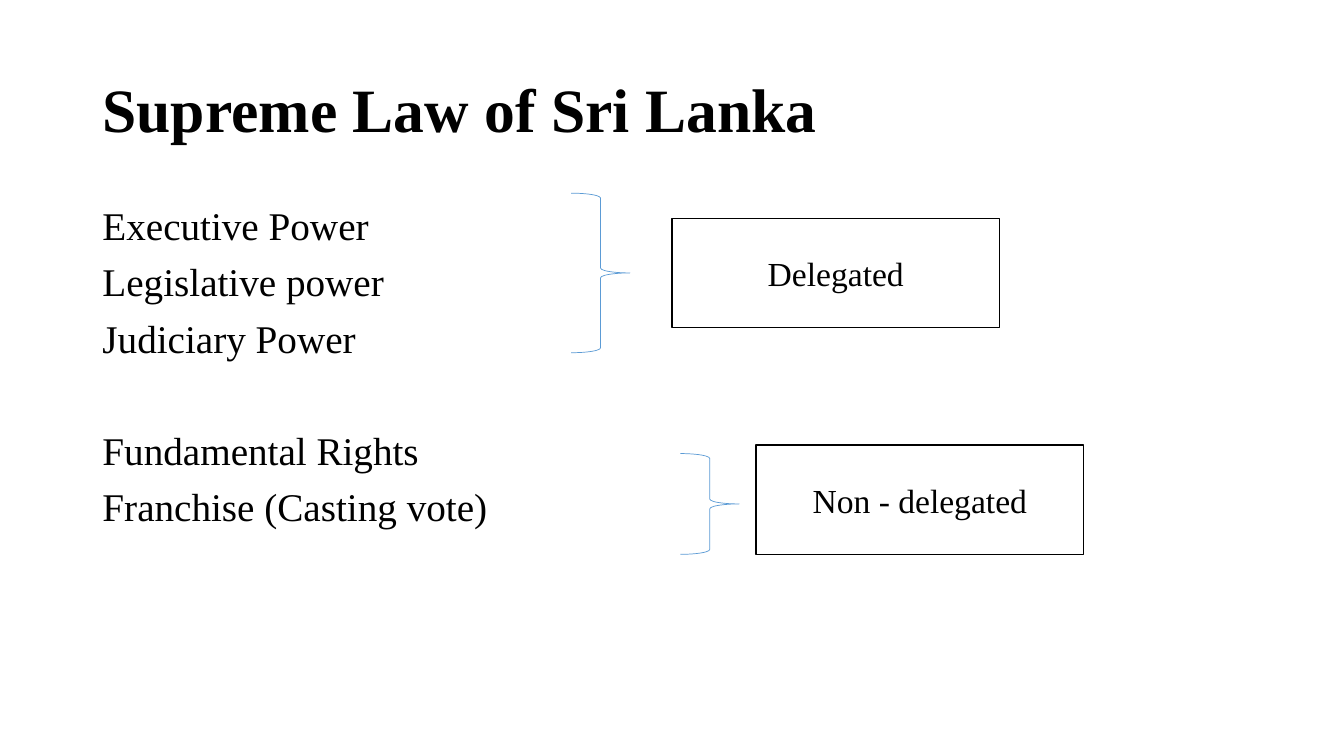
from dataclasses import dataclass

from lxml import etree
from pptx import Presentation
from pptx.dml.color import RGBColor
from pptx.enum.shapes import MSO_SHAPE
from pptx.enum.text import MSO_ANCHOR, MSO_AUTO_SIZE, PP_ALIGN
from pptx.oxml.ns import qn
from pptx.util import Pt

BRACE = MSO_SHAPE.RIGHT_BRACE
RECT = MSO_SHAPE.RECTANGLE
MIDDLE = MSO_ANCHOR.MIDDLE
TOP = MSO_ANCHOR.TOP
NO_FIT = MSO_AUTO_SIZE.NONE
LEFT = PP_ALIGN.LEFT
CENTER = PP_ALIGN.CENTER

SCALE = 9525
FONT = "Times New Roman"
COLORS = {"ink": "000000", "paper": "FFFFFF", "brace": "5B9BD5"}


@dataclass(frozen=True)
class Box:
    left: int
    top: int
    width: int
    height: int


@dataclass(frozen=True)
class Group:
    brace: Box
    label: Box
    text: str


@dataclass(frozen=True)
class Item:
    text: str
    before: int = 10


TITLE = Box(88, 38, 1104, 139)
BODY = Box(88, 192, 1104, 457)
ITEMS = [
    Item("Executive Power", 0),
    Item("Legislative power"),
    Item("Judiciary Power"),
    Item("Fundamental Rights", 50),
    Item("Franchise (Casting vote)"),
]
GROUPS = [
    Group(Box(544, 184, 56, 152), Box(640, 208, 312, 104), "Delegated"),
    Group(Box(648, 432, 56, 96), Box(720, 424, 312, 104), "Non - delegated"),
]


def color(name: str) -> RGBColor:
    return RGBColor.from_string(COLORS[name])


def frame(box: Box) -> list[int]:
    return [n * SCALE for n in (box.left, box.top, box.width, box.height)]


def place(shape, box: Box) -> None:
    shape.left, shape.top, shape.width, shape.height = frame(box)


def write(para, text: str, size: int, bold: bool = False) -> None:
    run = para.add_run()
    run.text = text
    run.font.name = FONT
    run.font.size = Pt(size)
    run.font.bold = bold
    run.font.color.rgb = color("ink")


def add_title(slide, text: str) -> None:
    title = slide.shapes.title
    place(title, TITLE)
    title.text_frame.auto_size = NO_FIT
    title.text_frame.vertical_anchor = MIDDLE
    para = title.text_frame.paragraphs[0]
    para.alignment = LEFT
    para.line_spacing = 0.9
    write(para, text, 44, True)


def add_list(slide, items: list[Item]) -> None:
    body = slide.placeholders[1]
    place(body, BODY)
    text = body.text_frame
    text.auto_size = NO_FIT
    text.vertical_anchor = TOP
    for i, item in enumerate(items):
        para = text.add_paragraph() if i else text.paragraphs[0]
        props = para._p.get_or_add_pPr()
        props.set("marL", "0")
        props.set("indent", "0")
        etree.SubElement(props, qn("a:buNone"))
        para.line_spacing = 0.9
        para.space_before = Pt(item.before)
        write(para, item.text, 28)


def add_shape(slide, kind, box: Box, line: str, width: float):
    shape = slide.shapes.add_shape(kind, *frame(box))
    shape.shadow.inherit = False
    shape.line.color.rgb = color(line)
    shape.line.width = Pt(width)
    return shape


def add_group(slide, group: Group) -> None:
    brace = add_shape(slide, BRACE, group.brace, "brace", 0.5)
    brace.fill.background()
    label = add_shape(slide, RECT, group.label, "ink", 1)
    label.fill.solid()
    label.fill.fore_color.rgb = color("paper")
    label.text_frame.word_wrap = True
    label.text_frame.vertical_anchor = MIDDLE
    para = label.text_frame.paragraphs[0]
    para.alignment = CENTER
    write(para, group.text, 24)


def main() -> None:
    deck = Presentation()
    deck.slide_width = 1280 * SCALE
    deck.slide_height = 720 * SCALE
    slide = deck.slides.add_slide(deck.slide_layouts[1])
    add_title(slide, "Supreme Law of Sri Lanka")
    add_list(slide, ITEMS)
    for group in GROUPS:
        add_group(slide, group)
    deck.save("out.pptx")


if __name__ == "__main__":
    main()
